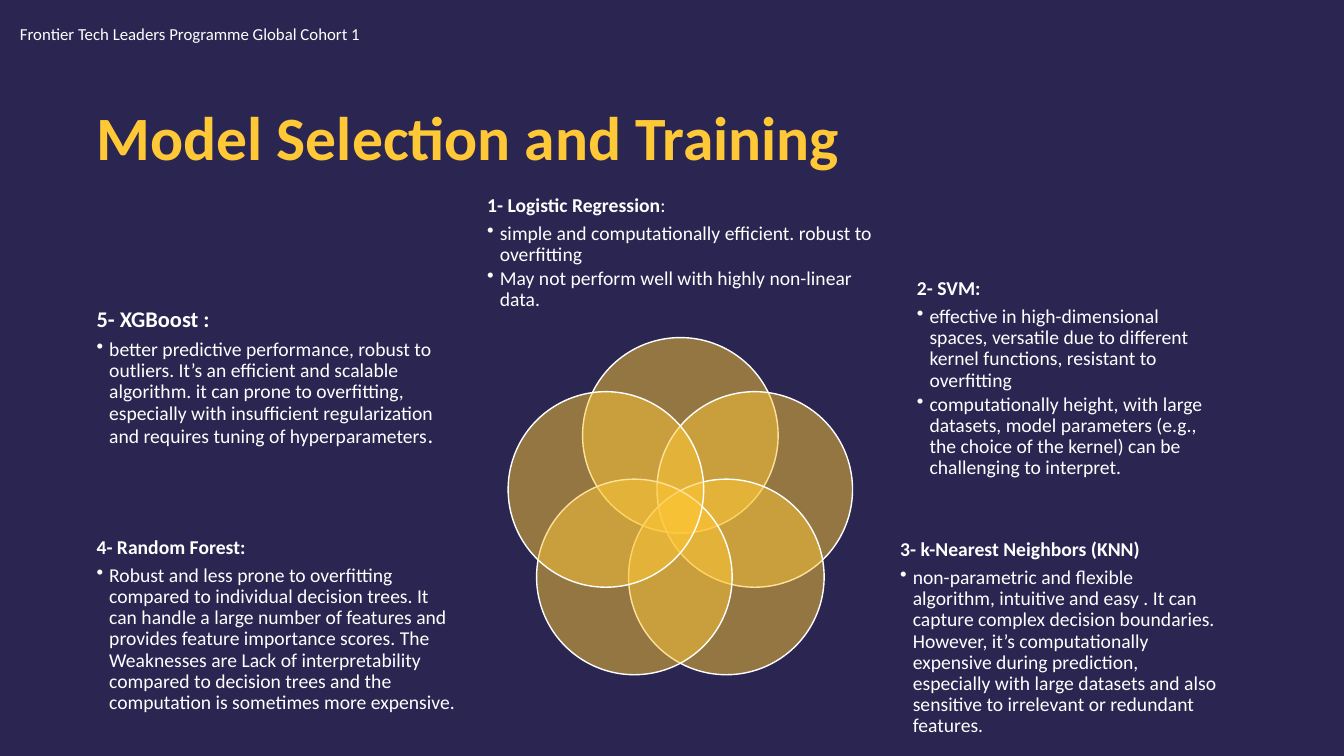
import math
from pptx import Presentation
from pptx import util as u
from pptx.dml.color import RGBColor
from pptx.enum import shapes, text
from pptx.oxml.ns import qn
from lxml import etree

# Content
HEAD = "Model Selection and Training"
COHORT = "Frontier Tech Leaders Programme Global Cohort 1"
NAVY, GOLD, AMBER, WHITE, LIGHT = "2B2551", "FFC837", "FEC736", "FFFFFF", "FEFFFE"

# Each model: box (left, top, width, height), heading runs, bullets as runs;
# a run is (text, size, bold)
MODELS = [
    ((348, 134, 281, 93.5),
     [("1- Logistic Regression", 14, True), (":", 14, False)],
     [[("simple and computationally efficient. robust to overfitting", 14, False)],
      [("May not perform well with highly non-linear data.", 14, False)]]),
    ((655, 211, 208, 119),
     [("2- SVM:", 14, True)],
     [[("effective in high-dimensional spaces, versatile due to different "
        "kernel functions, resistant to overfitting", 14, False)],
      [("computationally height, with large datasets, model parameters (e.g., "
        "the choice of the kernel) can be challenging to interpret.", 14, False)]]),
    ((643, 409, 226, 94),
     [("3- k-Nearest Neighbors (KNN)", 14, True)],
     [[("non-parametric and flexible algorithm, intuitive and easy . It can "
        "capture complex decision boundaries. However, it’s computationally "
        "expensive during prediction, especially with large datasets and also "
        "sensitive to irrelevant or redundant features.", 14, False)]]),
    ((69, 396, 258.5, 101.5),
     [("4- Random Forest:", 14, True)],
     [[("Robust and less prone to overfitting compared to individual decision "
        "trees. It can handle a large number of features and provides feature "
        "importance scores. The Weaknesses are Lack of interpretability "
        "compared to decision trees and the computation is sometimes more "
        "expensive.", 14, False)]]),
    ((69, 219.6, 245, 101.5),
     [("5- XGBoost :", 16, True)],
     [[("better predictive performance, robust to outliers. It’s an efficient "
        "and scalable algorithm. it can prone to overfitting, especially with "
        "insufficient regularization and requires tuning of hyperparameters",
        14, False), (".", 16, False)]]),
]
MID_X, MID_Y, ORBIT, SIZE = 486, 366.9, 55.9, 139.7


def tint(code):
    return RGBColor.from_string(code)


def pts(*nums):
    return [u.Pt(n) for n in nums]


def put(item, vals):
    for key, val in vals.items():
        setattr(item, key, val)


def write(para, runs, hue=LIGHT, **vals):
    put(para, vals)
    for words, size, bold in runs:
        run = para.add_run()
        run.text = words
        put(run.font, {"name": "Calibri", "size": u.Pt(size), "bold": bold})
        run.font.color.rgb = tint(hue)


def bullet(para):
    props = para._p.get_or_add_pPr()
    put_at = {"marL": u.Pt(9), "indent": u.Pt(-9)}
    for key, val in put_at.items():
        props.set(key, str(int(val)))
    etree.SubElement(props, qn("a:buChar")).set("char", "•")


# Slide
deck = Presentation()
put(deck, {"slide_width": u.Pt(960), "slide_height": u.Pt(540)})
slide = deck.slides.add_slide(deck.slide_layouts[5])
back = slide.background.fill
back.solid()
back.fore_color.rgb = tint(NAVY)

# Title
title = slide.shapes.title
put(title, dict(zip(("left", "top", "width", "height"), pts(62, 64, 796, 73))))
put(title.text_frame, {"vertical_anchor": text.MSO_ANCHOR.MIDDLE,
                       "word_wrap": True})
write(title.text_frame.paragraphs[0], [(HEAD, 44, True)], GOLD,
      alignment=text.PP_ALIGN.LEFT, line_spacing=0.9)

# Ring of overlapping circles, each with its model's notes
venn = slide.shapes.add_group_shape().shapes
for num, (box, head, points) in enumerate(MODELS):
    turn = math.radians(360 / len(MODELS) * num)
    left = MID_X + ORBIT * math.sin(turn) - SIZE / 2
    top = MID_Y - ORBIT * math.cos(turn) - SIZE / 2
    disc = venn.add_shape(shapes.MSO_SHAPE.OVAL, *pts(left, top, SIZE, SIZE))
    disc.shadow.inherit = False
    disc.fill.solid()
    disc.fill.fore_color.rgb = tint(AMBER)
    hue = disc.fill._xPr.find(".//" + qn("a:srgbClr"))
    etree.SubElement(hue, qn("a:alpha")).set("val", "50000")
    disc.line.color.rgb = tint(WHITE)
    disc.line.width = u.Pt(1)

    frame = venn.add_textbox(*pts(*box)).text_frame
    put(frame, {"word_wrap": True, "vertical_anchor": text.MSO_ANCHOR.MIDDLE,
                "margin_left": 0, "margin_right": 0,
                "margin_top": 0, "margin_bottom": 0})
    write(frame.paragraphs[0], head, line_spacing=0.9, space_after=u.Pt(4.9))
    for runs in points:
        para = frame.add_paragraph()
        write(para, runs, level=1, line_spacing=0.9, space_after=u.Pt(2.1))
        bullet(para)

# Cohort label
label = slide.shapes.add_textbox(*pts(7.2, 13.7, 399, 21.8)).text_frame
put(label, {"word_wrap": True, "auto_size": text.MSO_AUTO_SIZE.SHAPE_TO_FIT_TEXT})
write(label.paragraphs[0], [(COHORT, 12, False)])

deck.save("out.pptx")
